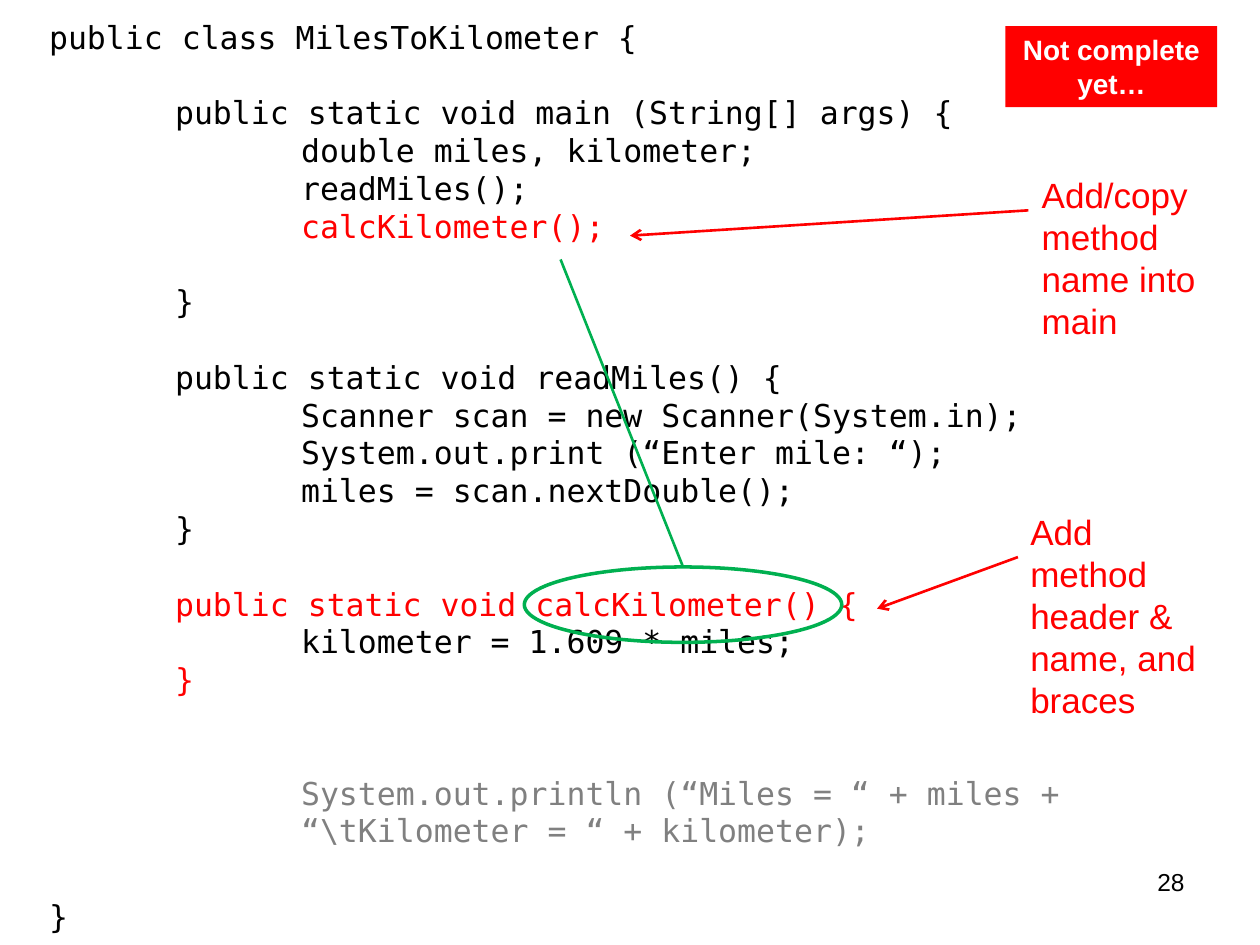
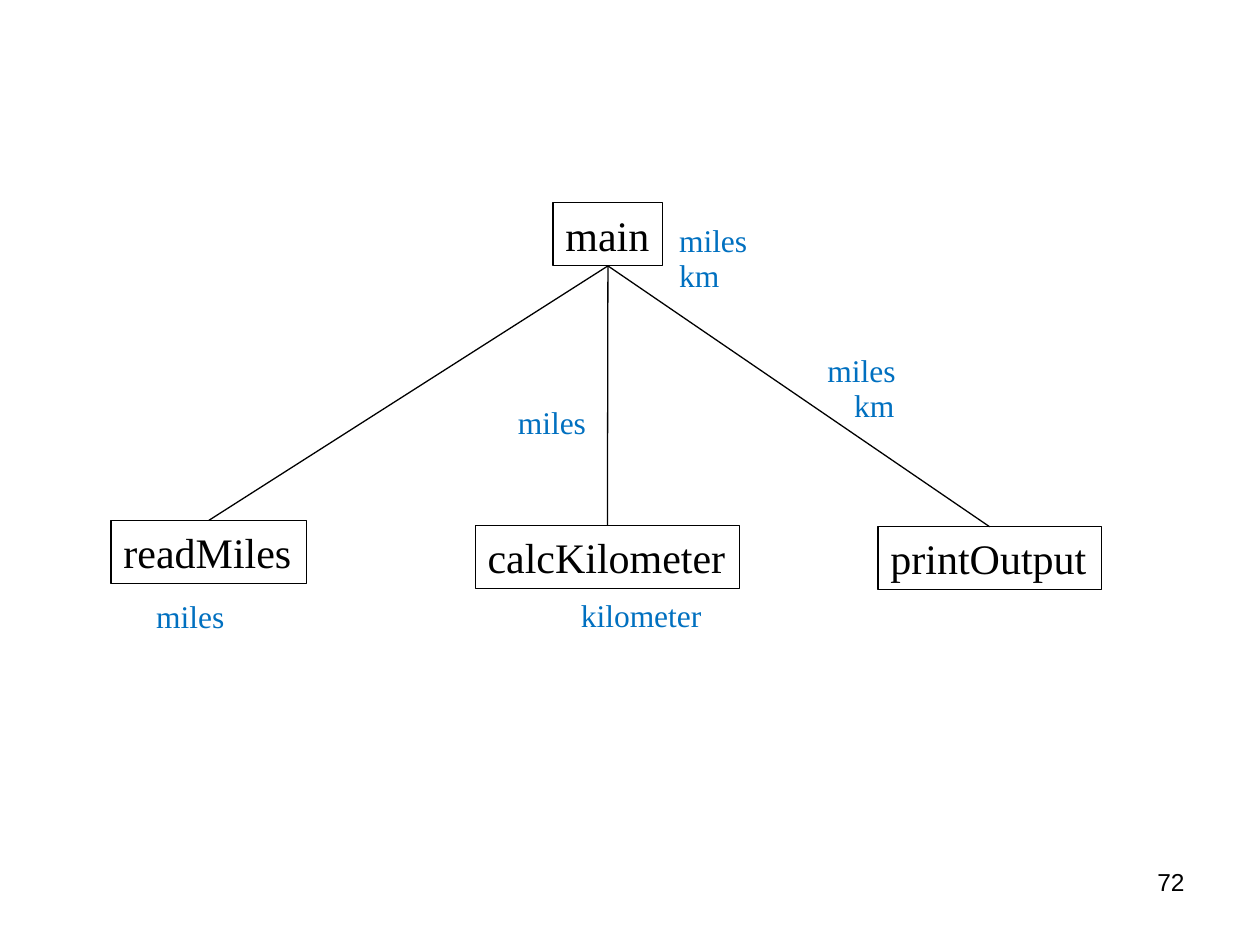
from lxml import etree
from pptx import Presentation
from pptx import util as u
from pptx.dml.color import RGBColor
from pptx.enum import shapes, text
from pptx.oxml.ns import qn

BLACK = RGBColor(0x00, 0x00, 0x00)
WHITE = RGBColor(0xFF, 0xFF, 0xFF)
RED = RGBColor(0xFF, 0x00, 0x00)
GREY = RGBColor(0x80, 0x80, 0x80)
GREEN = RGBColor(0x00, 0xB0, 0x50)
BLUE = RGBColor(0x00, 0x70, 0xC0)

SANS, MONO, SERIF = "Arial", "DejaVu Sans Mono", "Times New Roman"
LEADING = 1.2  # line pitch as a multiple of the text size
TAB = u.Cm(2.54)

# blank lines before, tab level, code, colour
CODE = [
    (0, 0, "public class MilesToKilometer {", BLACK),
    (1, 1, "public static void main (String[] args) {", BLACK),
    (0, 2, "double miles, kilometer;", BLACK),
    (0, 2, "readMiles();", BLACK),
    (0, 2, "calcKilometer();", RED),
    (1, 1, "}", BLACK),
    (1, 1, "public static void readMiles() {", BLACK),
    (0, 2, "Scanner scan = new Scanner(System.in);", BLACK),
    (0, 2, "System.out.print (“Enter mile: “);", BLACK),
    (0, 2, "miles = scan.nextDouble();", BLACK),
    (0, 1, "}", BLACK),
    (1, 1, "public static void calcKilometer() {", RED),
    (0, 2, "kilometer = 1.609 * miles;", BLACK),
    (0, 1, "}", RED),
    (2, 2, "System.out.println (“Miles = “ + miles +", GREY),
    (0, 2, "“\\tKilometer = “ + kilometer);", GREY),
    (1.27, 0, "}", BLACK),
]

# name, left, top, width
MODULES = [
    ("readMiles", 2.24, 10.49, 3.94),
    ("calcKilometer", 9.58, 10.59, 5.33),
    ("printOutput", 17.7, 10.62, 4.5),
]

# variable, left, top, width
VARIABLES = [
    ("miles", 13.44, 4.34, 1.9),
    ("miles", 2.9, 11.91, 1.9),
    ("miles", 10.19, 8, 1.9),
    ("miles", 16.43, 6.96, 1.9),
    ("km", 13.44, 5.03, 1.32),
    ("kilometer", 11.46, 11.89, 2.97),
    ("km", 16.97, 7.65, 1.32),
]


def write(p, content, font=SANS, size=18, color=BLACK, bold=False,
          align=text.PP_ALIGN.LEFT, blank_lines=0, level=0):
    pitch = size * LEADING
    p.alignment = align
    p.line_spacing = u.Pt(pitch)
    if blank_lines:
        p.space_before = u.Pt(blank_lines * pitch)
    if level:
        p._p.get_or_add_pPr().set("marL", str(level * TAB))
    r = p.add_run()
    r.text = content
    r.font.name, r.font.size, r.font.bold = font, u.Pt(size), bold
    r.font.color.rgb = color


class Deck:
    def __init__(self):
        self.prs = Presentation()
        self.prs.slide_width, self.prs.slide_height = u.Cm(25.4), u.Cm(19.05)
        self.s = None

    def slide(self, number):
        self.s = self.prs.slides.add_slide(self.prs.slide_layouts[6])
        self.text(str(number), 18.21, 17.35, 5.92, 1.32, size=14,
                  align=text.PP_ALIGN.RIGHT)

    def frame(self, left, top, width, height, wrap=True):
        sp = self.s.shapes.add_textbox(*map(u.Cm, (left, top, width, height)))
        sp.text_frame.word_wrap = wrap
        return sp.text_frame

    def text(self, content, left, top, width, height, wrap=True, **style):
        tf = self.frame(left, top, width, height, wrap)
        write(tf.paragraphs[0], content, **style)

    def code(self, lines, *box):
        tf = self.frame(*box)
        for i, (blank_lines, level, content, color) in enumerate(lines):
            p = tf.add_paragraph() if i else tf.paragraphs[0]
            write(p, content, font=MONO, color=color,
                  blank_lines=blank_lines, level=level)

    def shape(self, kind, left, top, width, height, fill=None, line=None,
              weight=0.75, label=None, wrap=True, **style):
        sp = self.s.shapes.add_shape(kind, *map(u.Cm, (left, top, width, height)))
        sp.shadow.inherit = False
        if fill is None:
            sp.fill.background()
        else:
            sp.fill.solid()
            sp.fill.fore_color.rgb = fill
        if line is None:
            sp.line.fill.background()
        else:
            sp.line.color.rgb = line
            sp.line.width = u.Pt(weight)
        if label:
            tf = sp.text_frame
            tf.word_wrap = wrap
            tf.vertical_anchor = text.MSO_ANCHOR.TOP
            write(tf.paragraphs[0], label, **style)
        return sp

    def module(self, name, left, top, width):
        return self.shape(shapes.MSO_SHAPE.RECTANGLE, left, top, width, 1.27,
                          line=BLACK, label=name, wrap=False, font=SERIF, size=24)

    def line(self, start=(0, 0), end=(0, 0), color=BLACK, weight=0.75, arrow=False):
        c = self.s.shapes.add_connector(shapes.MSO_CONNECTOR.STRAIGHT,
                                        *map(u.Cm, (*start, *end)))
        c.line.color.rgb = color
        c.line.width = u.Pt(weight)
        if arrow:
            etree.SubElement(c.line._get_or_add_ln(), qn("a:headEnd"), type="arrow")
        etree.SubElement(c._element.spPr, qn("a:effectLst"))
        return c

    def note(self, content, box, arrow_tip, arrow_start):
        self.text(content, *box, size=20, color=RED)
        self.line(arrow_tip, arrow_start, RED, 1.5, arrow=True)


def code_slide(deck):
    deck.slide(28)
    deck.code(CODE, 0.74, 0.23, 23.8, 18.82)
    deck.note("Add method header & name, and braces",
              (20.52, 10.16, 3.91, 4.52), (17.68, 12.27), (20.52, 11.23))
    deck.note("Add/copy method name into main",
              (20.75, 3.38, 3.91, 3.68), (12.7, 4.75), (20.73, 4.24))
    method_ring = deck.shape(shapes.MSO_SHAPE.OVAL, 10.57, 11.43, 6.4, 1.52,
                             line=GREEN, weight=2)
    call_link = deck.line(end=(11.3, 5.23), color=GREEN, weight=1.5)
    call_link.begin_connect(method_ring, 0)
    deck.shape(shapes.MSO_SHAPE.RECTANGLE, 20.27, 0.53, 4.27, 1.63, fill=RED,
               label="Not complete yet…", size=16, color=WHITE, bold=True,
               align=text.PP_ALIGN.CENTER)


def structure_slide(deck):
    deck.slide(72)
    main_box = deck.module("main", 11.15, 4.09, 2.21)
    for module in MODULES:
        box = deck.module(*module)
        link = deck.line()
        link.begin_connect(main_box, 2)
        link.end_connect(box, 0)
    for name, left, top, width in VARIABLES:
        deck.text(name, left, top, width, 1.02, wrap=False, font=SERIF, color=BLUE)


def main():
    deck = Deck()
    code_slide(deck)
    structure_slide(deck)
    deck.prs.save("out.pptx")


if __name__ == "__main__":
    main()
